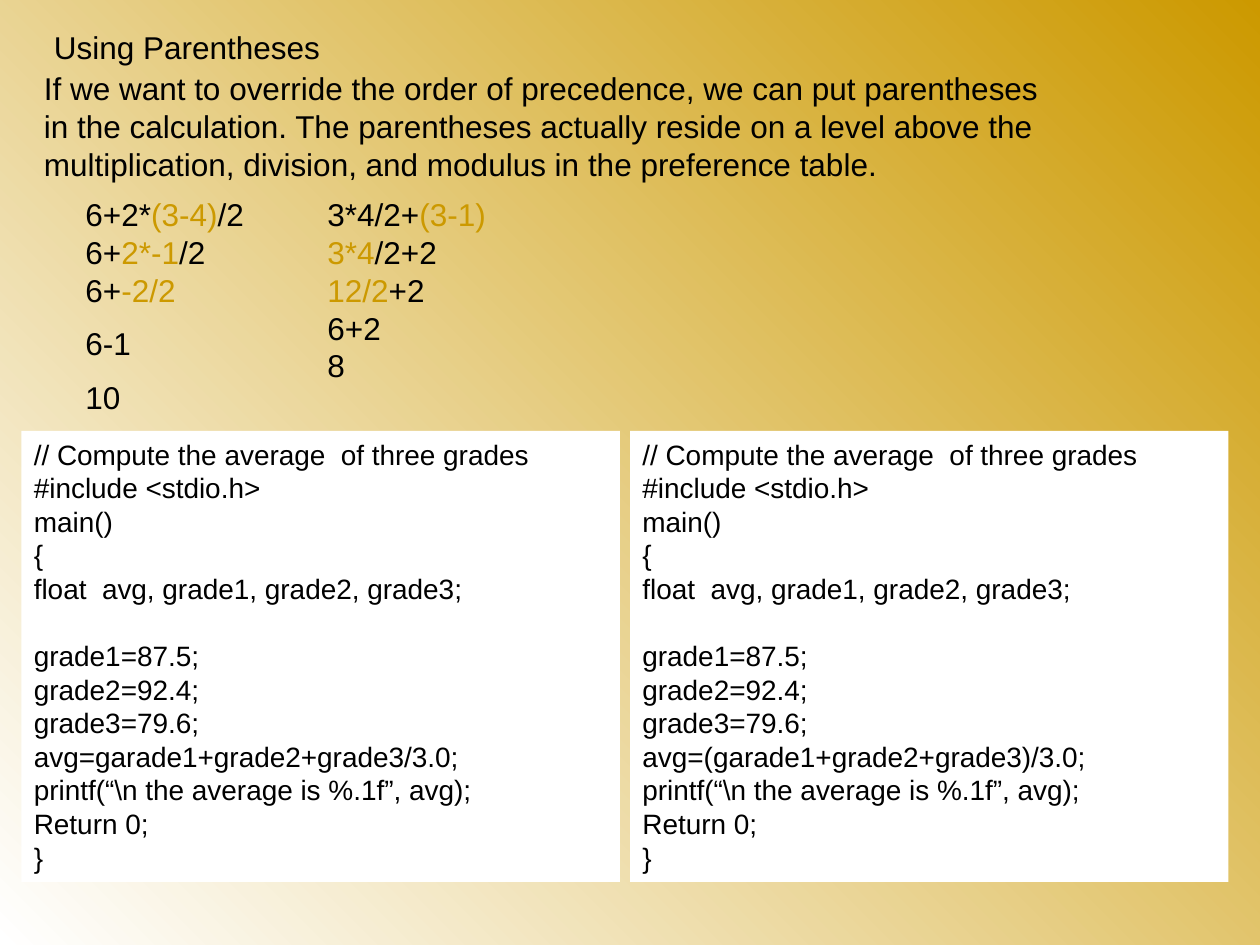
from dataclasses import dataclass, field

from pptx import Presentation, util as u
from pptx.dml.color import RGBColor
from pptx.enum import shapes, text

COLOURS = {"ink": "000000", "accent": "CC9900", "paper": "FFFFFF"}
BODY, CODE = 18, 16
HALF_LINE, CODE_LINE = 9, 19.2
MARK = "|"


@dataclass
class Block:
    """Lines of text; every second piece between marks is in the accent colour."""
    left: float
    top: float
    width: float
    height: float
    lines: list[str]
    size: int = BODY
    filled: bool = False
    space_before: dict[int, float] = field(default_factory=dict)


def colour(name: str) -> RGBColor:
    return RGBColor.from_string(COLOURS[name])


def code_block(left: float, formula: str) -> Block:
    lines = [
        "// Compute the average  of three grades",
        "#include <stdio.h>",
        "main()",
        "{",
        "float  avg, grade1, grade2, grade3;",
        "grade1=87.5;",
        "grade2=92.4;",
        "grade3=79.6;",
        f"avg={formula};",
        r"printf(“\n the average is %.1f”, avg);",
        "Return 0;",
        "}",
    ]
    gap = {lines.index("grade1=87.5;"): CODE_LINE}
    return Block(left, 3.42, 4.75, 3.58, lines, CODE, True, gap)


def add_line(para, line: str, size: int) -> None:
    para.alignment = text.PP_ALIGN.LEFT
    for index, piece in enumerate(line.split(MARK)):
        if piece:
            span = para.add_run()
            span.text = piece
            formats = {"name": "Arial", "size": u.Pt(size)}
            for name, value in formats.items():
                setattr(span.font, name, value)
            span.font.color.rgb = colour("accent" if index % 2 else "ink")


def add_block(page, block: Block) -> None:
    place = [u.Inches(n) for n in (block.left, block.top, block.width, block.height)]
    if block.filled:
        box = page.shapes.add_shape(shapes.MSO_SHAPE.RECTANGLE, *place)
        box.shadow.inherit = False
        box.fill.solid()
        box.fill.fore_color.rgb = colour("paper")
        box.line.fill.background()
    else:
        box = page.shapes.add_textbox(*place)
    frame = box.text_frame
    formats = {
        "word_wrap": True,
        "auto_size": text.MSO_AUTO_SIZE.SHAPE_TO_FIT_TEXT,
        "vertical_anchor": text.MSO_ANCHOR.TOP,
    }
    for name, value in formats.items():
        setattr(frame, name, value)
    for index, line in enumerate(block.lines):
        para = frame.add_paragraph() if index else frame.paragraphs[0]
        add_line(para, line, block.size)
        if index in block.space_before:
            para.space_before = u.Pt(block.space_before[index])


def paint_background(page) -> None:
    fill = page.background.fill
    fill.gradient()
    fill.gradient_angle = 45
    for stop, name in zip(fill.gradient_stops, ("paper", "accent")):
        stop.color.rgb = colour(name)


BLOCKS = [
    Block(0.33, 0.17, 6.08, 0.4, ["Using Parentheses"]),
    Block(0.25, 0.5, 8.17, 1, [
        "If we want to override the order of precedence, we can put parentheses "
        "in the calculation. The parentheses actually reside on a level above the "
        "multiplication, division, and modulus in the preference table."
    ]),
    Block(0.58, 1.5, 1.58, 1.9,
          ["6+2*|(3-4)|/2", "6+|2*-1|/2", "6+|-2/2", "6-1", "10"],
          space_before={3: HALF_LINE, 4: HALF_LINE}),
    Block(2.5, 1.5, 1.58, 1.6,
          ["3*4/2+|(3-1)", "|3*4|/2+2", "|12/2|+2", "6+2", "8"]),
    code_block(5, "(garade1+grade2+grade3)/3.0"),
    code_block(0.17, "garade1+grade2+grade3/3.0"),
]


def main() -> None:
    deck = Presentation()
    deck.slide_width, deck.slide_height = u.Inches(10), u.Inches(7.5)
    page = deck.slides.add_slide(deck.slide_layouts[6])
    paint_background(page)
    for block in BLOCKS:
        add_block(page, block)
    deck.save("out.pptx")


if __name__ == "__main__":
    main()
